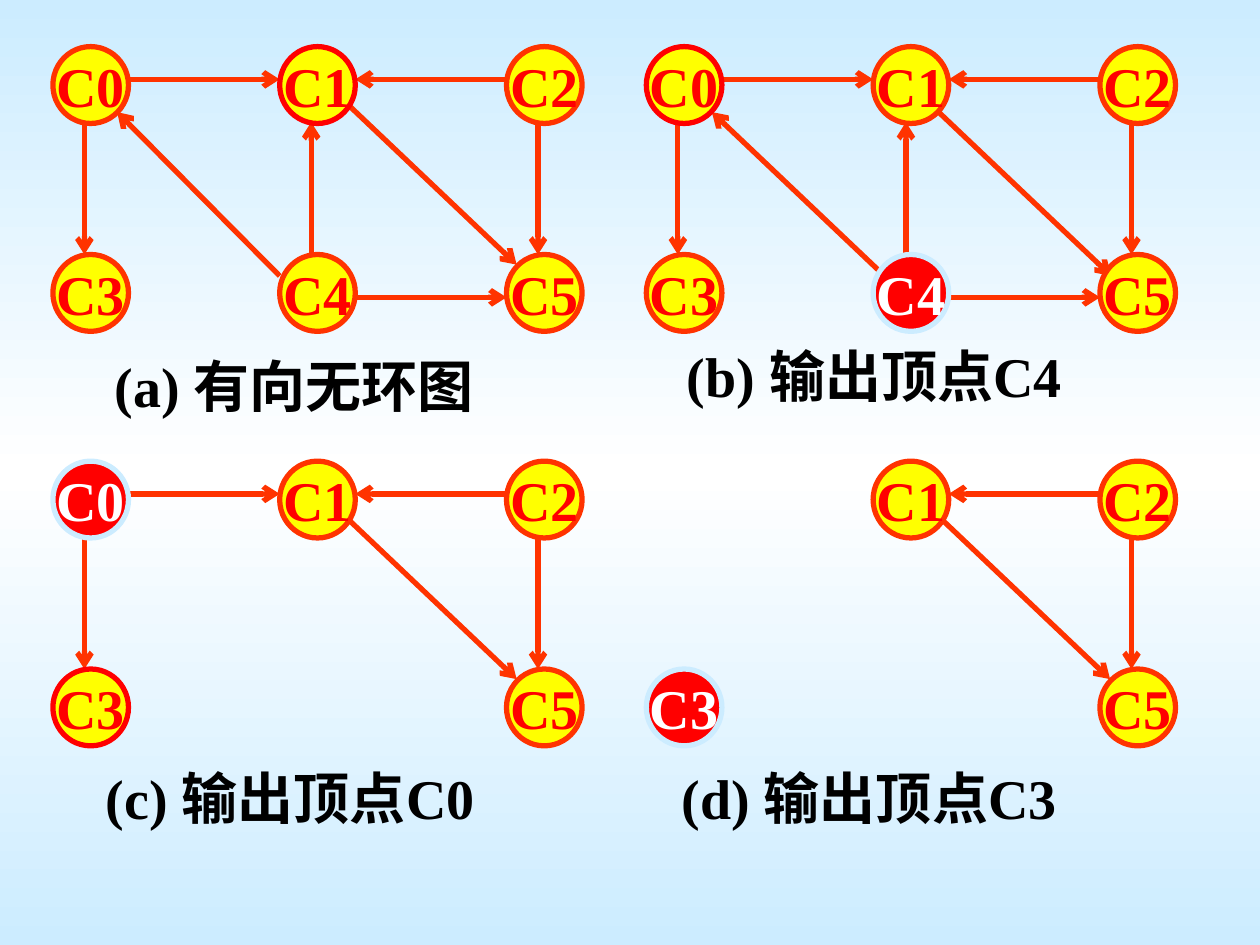
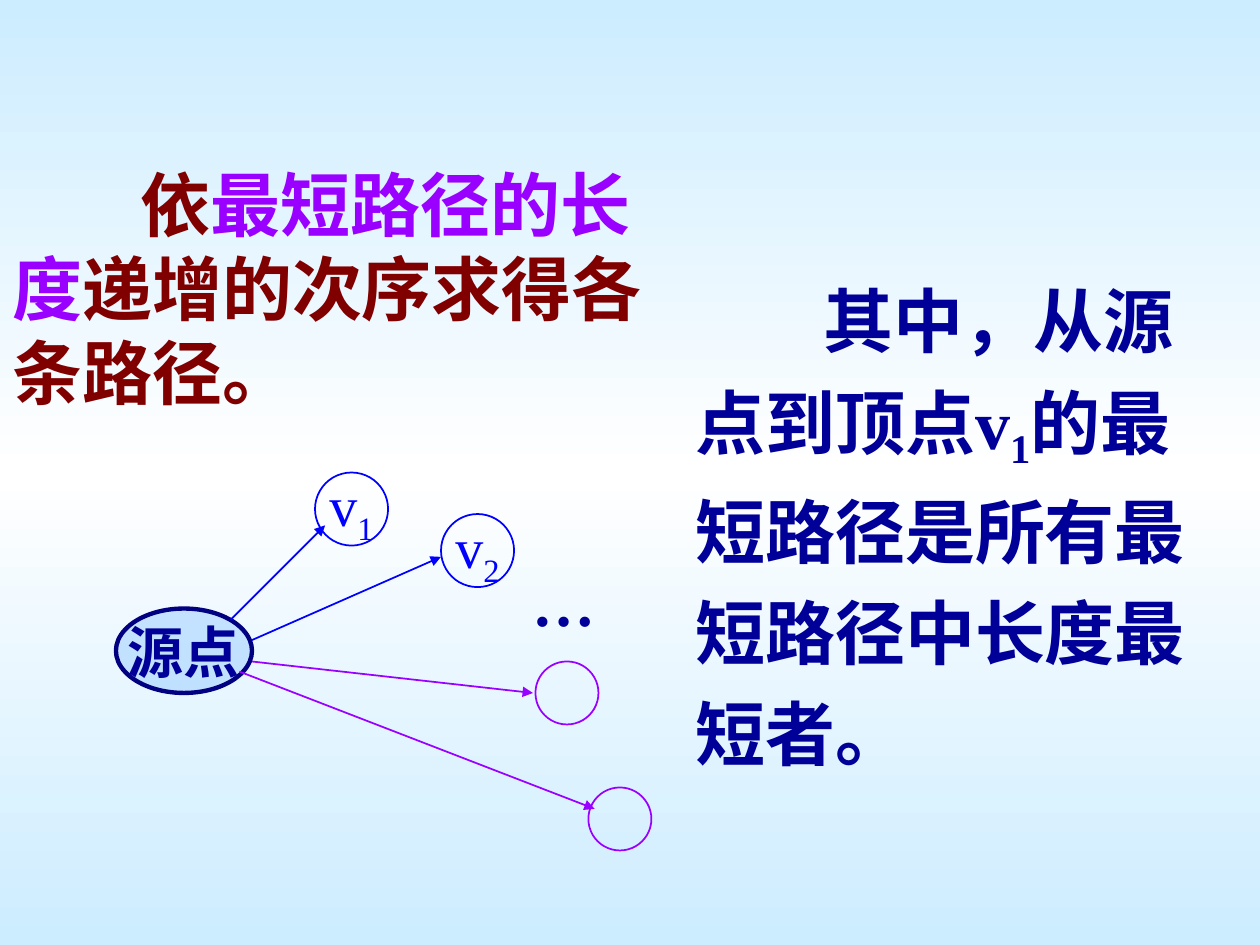
from copy import deepcopy
from dataclasses import dataclass, field

from lxml.etree import SubElement
from pptx import Presentation
from pptx.dml.color import RGBColor
from pptx.enum.dml import MSO_LINE
from pptx.enum.lang import MSO_LANGUAGE_ID as Language
from pptx.enum.shapes import MSO_CONNECTOR as Connector
from pptx.enum.shapes import MSO_SHAPE as Preset
from pptx.enum.text import MSO_ANCHOR as Anchor
from pptx.enum.text import MSO_AUTO_SIZE as AutoSize
from pptx.enum.text import PP_ALIGN as Align
from pptx.oxml.ns import qn
from pptx.util import Inches, Pt

FONT = "Times New Roman"
COLORS = {
    "sky": "CCECFF",
    "white": "FFFFFF",
    "black": "000000",
    "orange": "FF3300",
    "red": "FF0000",
    "yellow": "FFFF00",
    "maroon": "800000",
    "purple": "9900FF",
    "ink": "000099",
    "navy": "000080",
    "blue": "0000FF",
    "pale": "99CCFF",
}

NODE_WIDTH, NODE_HEIGHT = 0.6, 0.61
COLUMN_STEP, ROW_STEP = 1.8, 1.65
Segment = tuple[float, float, float, float]
EDGES: dict[str, Segment] = {
    "C0C1": (0.6, 0.26, 1.8, 0.26),
    "C2C1": (3.6, 0.26, 2.4, 0.26),
    "C0C3": (0.25, 0.6, 0.25, 1.65),
    "C4C1": (2.05, 1.65, 2.05, 0.6),
    "C4C0": (1.8, 1.82, 0.51, 0.52),
    "C4C5": (2.4, 1.99, 3.6, 1.99),
    "C2C5": (3.85, 0.6, 3.85, 1.65),
    "C1C5": (2.31, 0.43, 3.68, 1.73),
}


@dataclass
class Span:
    text: str
    color: str
    baseline: int = 0


@dataclass
class Panel:
    left: float
    top: float
    nodes: str
    caption: str
    caption_box: Segment
    next_node: str
    output: str = ""
    moved_edges: dict[str, Segment] = field(default_factory=dict)


@dataclass
class Circle:
    left: float
    top: float
    size: float
    color: str
    subscript: str = ""


@dataclass
class Ray:
    ends: Segment
    color: str


PANELS = [
    Panel(0.42, 0.37, "012345", "(a) 有向无环图", (0.81, 2.74, 3.16, 0.64), "C1"),
    Panel(5.13, 0.37, "012345", "(b) 输出顶点C4", (5.35, 2.66, 3.39, 0.64), "C0", "C4",
          {"C4C0": (1.89, 1.82, 0.52, 0.52), "C1C5": (2.32, 0.52, 3.69, 1.82),
           "C4C1": (2.06, 1.82, 2.06, 0.6)}),
    Panel(0.42, 3.66, "01235", "(c) 输出顶点C0", (0.74, 6.01, 3.34, 0.64), "C3", "C0"),
    Panel(5.13, 3.66, "1235", "(d) 输出顶点C3", (5.31, 6.01, 3.39, 0.64), "", "C3"),
]

CIRCLES = [
    Circle(2.5, 3.75, 0.58, "blue", "1"),
    Circle(3.5, 4.08, 0.58, "blue", "2"),
    Circle(4.67, 6.25, 0.5, "purple"),
    Circle(4.25, 5.25, 0.5, "purple"),
]

RAYS = [
    Ray((1.83, 4.92, 2.58, 4.17), "blue"),
    Ray((2, 5.08, 3.5, 4.42), "blue"),
    Ray((2, 5.25, 4.23, 5.5), "purple"),
    Ray((1.9, 5.33, 4.72, 6.42), "purple"),
]


def rgb(color: str) -> RGBColor:
    return RGBColor.from_string(COLORS[color])


def write_text(shape, spans: list[Span], *, size: float = 32, bold: bool = True,
               align=Align.LEFT, anchor=Anchor.TOP, wrap: bool = False,
               indent: float = 0, spacing: float = 1) -> None:
    frame = shape.text_frame
    frame.word_wrap = wrap
    frame.vertical_anchor = anchor
    paragraph = frame.paragraphs[0]
    paragraph.alignment = align
    paragraph.line_spacing = spacing
    if indent:
        properties = paragraph._p.get_or_add_pPr()
        properties.set("marL", "0")
        properties.set("indent", str(Inches(indent)))
    for span in spans:
        run = paragraph.add_run()
        run.text = span.text
        run.font.name = FONT
        run.font.size = Pt(size)
        run.font.bold = bold
        run.font.color.rgb = rgb(span.color)
        run.font.language_id = Language.SIMPLIFIED_CHINESE
        if span.baseline:
            run._r.get_or_add_rPr().set("baseline", str(span.baseline * 1000))


def add_text(shapes, box: Segment, spans: list[Span], **text_format) -> None:
    shape = shapes.add_textbox(*map(Inches, box))
    write_text(shape, spans, **text_format)
    shape.text_frame.auto_size = AutoSize.SHAPE_TO_FIT_TEXT


def add_ellipse(shapes, box: Segment, line: str, width: float,
                fill: str = "", alpha: int = 100):
    shape = shapes.add_shape(Preset.OVAL, *map(Inches, box))
    shape.shadow.inherit = False
    shape.line.color.rgb = rgb(line)
    shape.line.width = Pt(width)
    if fill:
        shape.fill.solid()
        shape.fill.fore_color.rgb = rgb(fill)
    else:
        shape.fill.background()
    if alpha < 100:
        color = shape._element.spPr.find(".//" + qn("a:srgbClr"))
        SubElement(color, qn("a:alpha"), val=str(alpha * 1000))
    return shape


def add_arrow(shapes, ends: Segment, color: str, width: float, head: str) -> None:
    connector = shapes.add_connector(Connector.STRAIGHT, *map(Inches, ends))
    connector.line.color.rgb = rgb(color)
    connector.line.width = Pt(width)
    connector.line.dash_style = MSO_LINE.SOLID
    properties = connector._element.spPr
    SubElement(properties.find(qn("a:ln")), qn("a:tailEnd"), type=head)
    SubElement(properties, qn("a:effectLst"))


def draw_panel(slide, panel: Panel) -> None:
    shapes = slide.shapes.add_group_shape().shapes
    for name, segment in (EDGES | panel.moved_edges).items():
        if name[1] in panel.nodes and name[3] in panel.nodes and not (
                panel.output == "C3" and name[3] == "3"):
            x1, y1, x2, y2 = segment
            ends = (panel.left + x1, panel.top + y1, panel.left + x2, panel.top + y2)
            add_arrow(shapes, ends, "orange", 3, "arrow")
    for digit in panel.nodes:
        row, column = divmod(int(digit), 3)
        name = f"C{digit}"
        fill, line, color = "yellow", "orange", "red"
        if name == panel.output:
            fill, line, color = "red", "sky", "white"
        elif name == panel.next_node:
            line = "red"
        box = (panel.left + column * COLUMN_STEP, panel.top + row * ROW_STEP,
               NODE_WIDTH, NODE_HEIGHT)
        node = add_ellipse(shapes, box, line, 3, fill)
        write_text(node, [Span(name, color)], align=Align.CENTER, anchor=Anchor.MIDDLE)
    add_text(shapes, panel.caption_box, [Span(panel.caption, "black")])


def draw_shortest_paths(slide) -> None:
    shapes = slide.shapes
    add_text(shapes, (0, 1.23, 5.63, 2.1), [
        Span("依", "maroon"),
        Span("最短路径的长度", "purple"),
        Span("递增的次序求得各条路径。", "maroon"),
    ], size=40, wrap=True, indent=1.02)
    source = add_ellipse(shapes, (0.92, 4.83, 1.08, 0.67), "navy", 2.5, "pale", 50)
    write_text(source, [Span("源点", "ink")], align=Align.CENTER, anchor=Anchor.MIDDLE)
    for circle in CIRCLES:
        box = (circle.left, circle.top, circle.size, circle.size)
        vertex = add_ellipse(shapes, box, circle.color, 1)
        if circle.subscript:
            spans = [Span("v", circle.color), Span(circle.subscript, circle.color, -25)]
            write_text(vertex, spans, bold=False, align=Align.CENTER, anchor=Anchor.MIDDLE)
    add_text(shapes, (4.13, 4.42, 0.7, 0.7), [Span("…", "ink")], size=36)
    for ray in RAYS:
        add_arrow(shapes, ray.ends, ray.color, 1, "triangle")
    add_text(shapes, (5.42, 2.02, 4.29, 4.18), [
        Span("其中，从源点到顶点v", "ink"),
        Span("1", "ink", -20),
        Span("的最短路径是所有最短路径中长度最短者。", "ink"),
    ], size=40, wrap=True, indent=1.02, spacing=1.2)


def set_background(master) -> None:
    fill = master.background.fill
    fill.gradient()
    fill.gradient_angle = 270
    stop_list = master.element.find(".//" + qn("p:bg")).find(".//" + qn("a:gsLst"))
    stop_list.insert(1, deepcopy(stop_list[0]))
    for stop, position, color in zip(fill.gradient_stops, (0, 0.5, 1),
                                     ("sky", "white", "sky")):
        stop.position = position
        stop.color.rgb = rgb(color)


def main() -> None:
    presentation = Presentation()
    presentation.slide_width, presentation.slide_height = Inches(10), Inches(7.5)
    set_background(presentation.slide_master)
    blank = presentation.slide_layouts[6]
    sorting_slide = presentation.slides.add_slide(blank)
    for panel in PANELS:
        draw_panel(sorting_slide, panel)
    draw_shortest_paths(presentation.slides.add_slide(blank))
    presentation.save("out.pptx")


if __name__ == "__main__":
    main()
